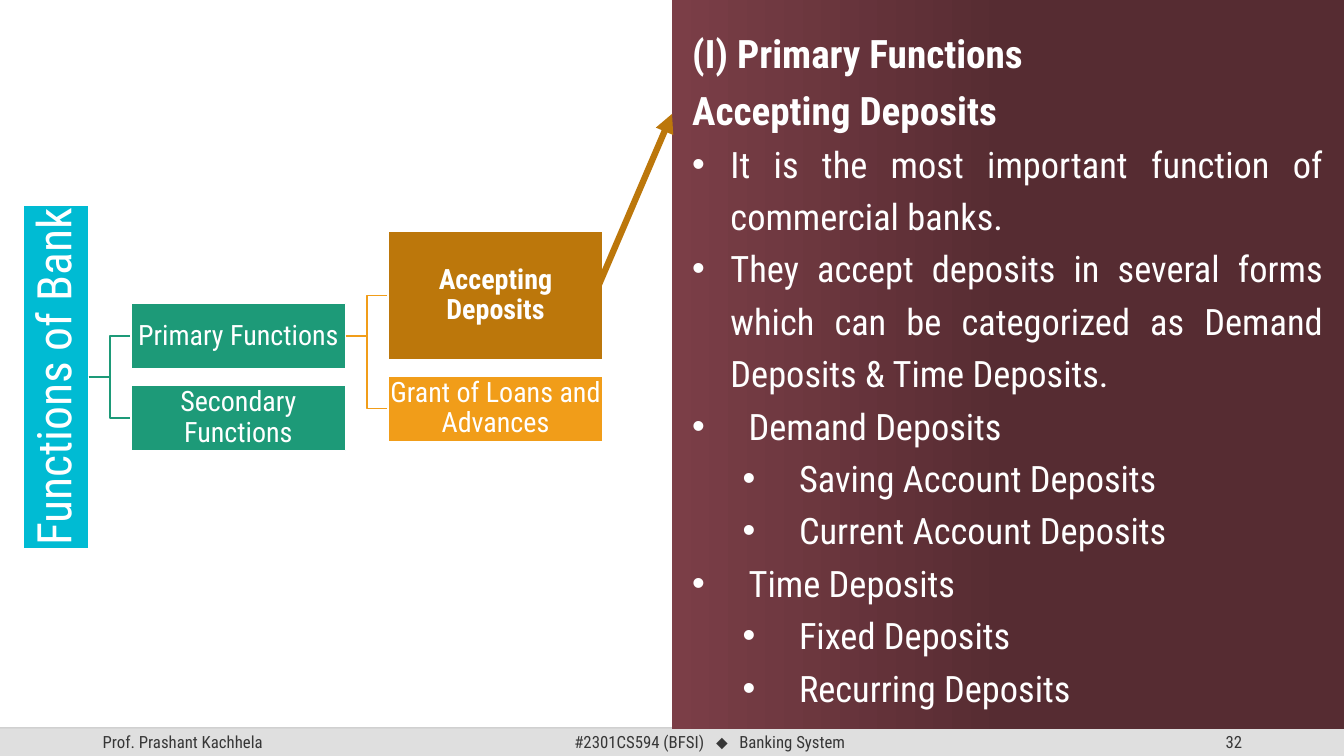
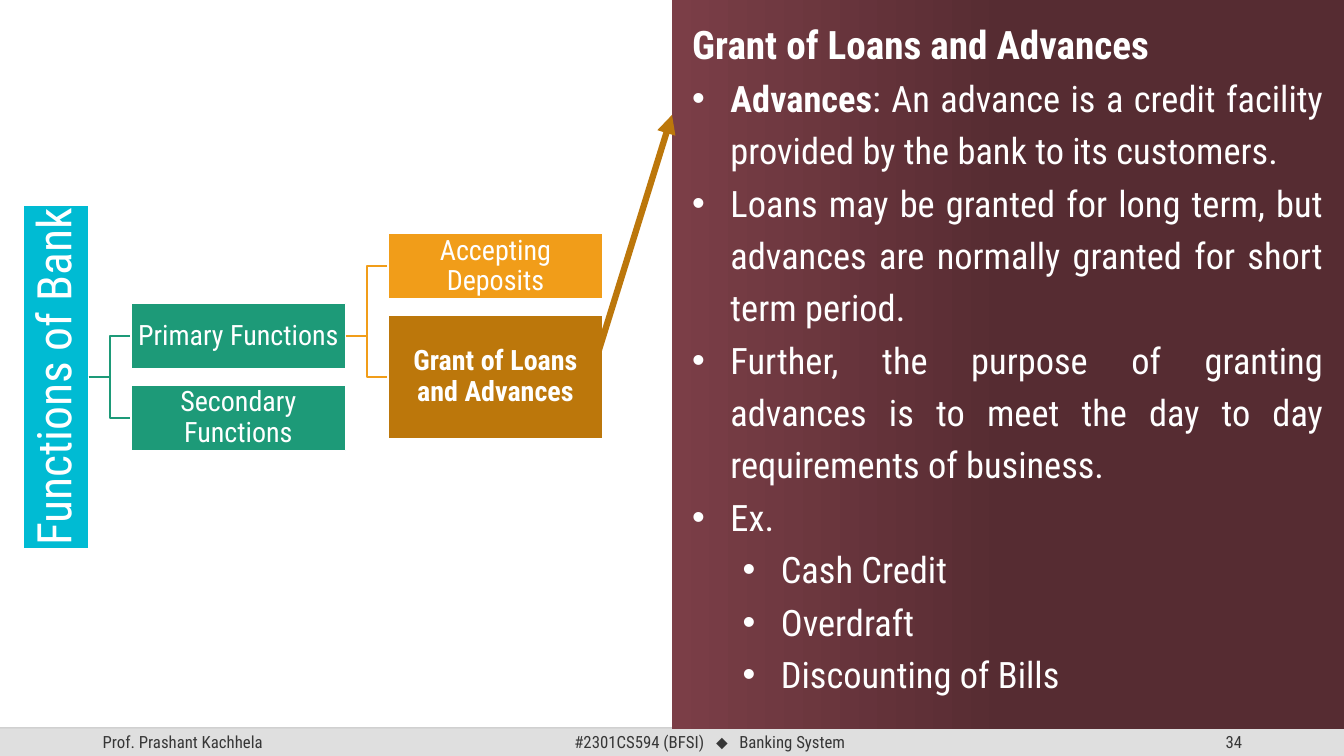
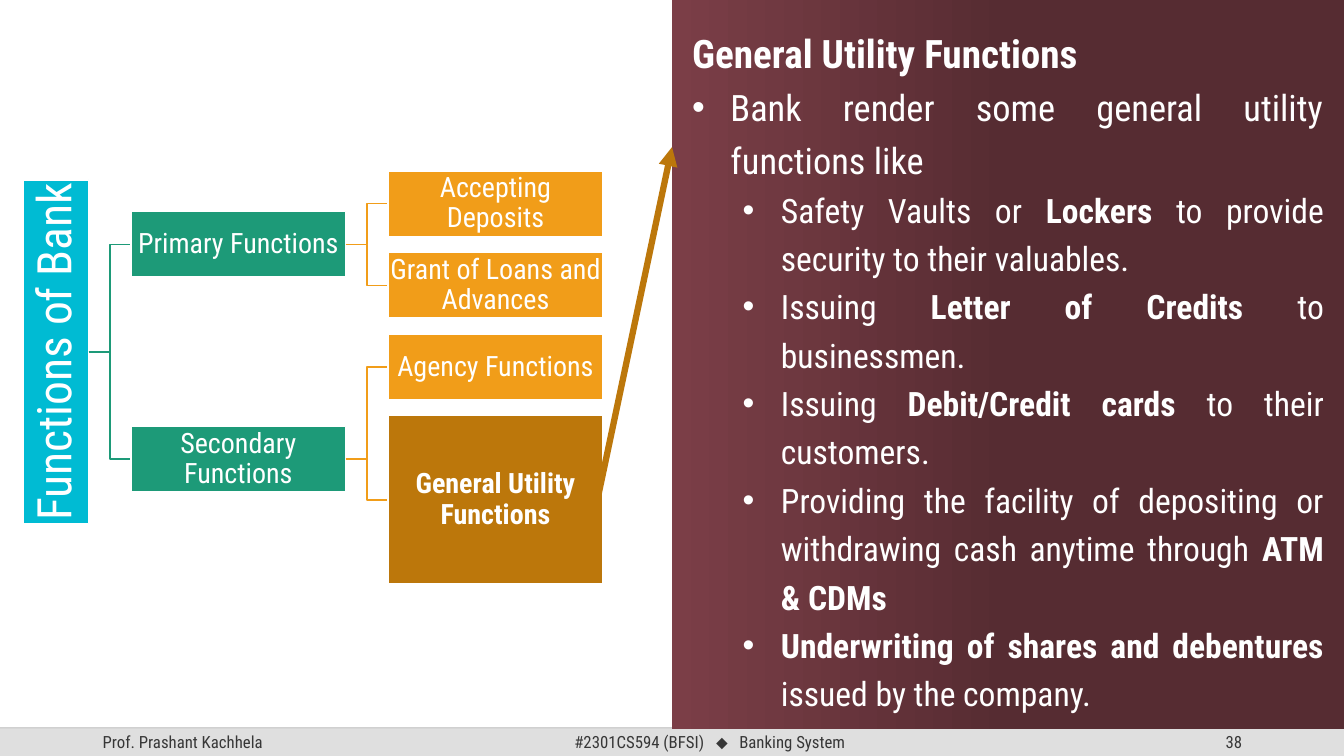
"""Build three slides on the functions of a bank: a tree diagram beside an explanatory panel."""
from copy import deepcopy

from lxml.etree import SubElement
from pptx import Presentation
from pptx.dml.color import RGBColor
from pptx.enum.shapes import MSO_CONNECTOR, MSO_SHAPE
from pptx.enum.text import MSO_ANCHOR, PP_ALIGN
from pptx.oxml.ns import qn
from pptx.util import Inches, Pt

FONT = "Roboto Condensed"
SYMBOL_FONT = "Arial"
WHITE, INK = "FFFFFF", "373737"
FOOTER_FILL, FOOTER_RULE = "DFDFDF", "BFBFBF"
PANEL_DARK, PANEL_LIGHT = "562C32", "7B3E47"
TRUNK_FILL, BRANCH_FILL, LEAF_FILL, ACTIVE_FILL = "00BBD3", "1D9A78", "F19D19", "BC770B"

SLIDE_WIDTH, SLIDE_HEIGHT = 13.33, 7.5
HALF_WIDTH = SLIDE_WIDTH / 2
FOOTER_TOP, FOOTER_HEIGHT = 7.22, 0.28

TRUNK_LEFT, TRUNK_LENGTH = 0.23, 3.41
BOX_WIDTH, BOX_HEIGHT = 2.13, 0.65
BOX_GAP, COLUMN_GAP = 0.16, 0.42
PLAIN_INSET, BOLD_INSET = 0.01, 0.1
BRANCH_LEFT = TRUNK_LEFT + BOX_HEIGHT + COLUMN_GAP
LEAF_LEFT = BRANCH_LEFT + BOX_WIDTH + COLUMN_GAP
ARROW_LEFT = 5.87

AUTHOR = "Prof. Prashant Kachhela"
COURSE = ("#2301CS594 (BFSI)", "⬥", "Banking System")
ROOT = "Functions of Bank"
PRIMARY, SECONDARY = "Primary Functions", "Secondary Functions"
DEPOSITS, LOANS = "Accepting Deposits", "Grant of Loans and Advances"
AGENCY, UTILITY = "Agency Functions", "General Utility Functions"

LEFT, JUSTIFY = PP_ALIGN.LEFT, PP_ALIGN.JUSTIFY
STYLES = {
    "heading": dict(size=28, level=0, margin=0, hang=0, align=LEFT, spacing=1.2),
    "tight heading": dict(size=28, level=0, margin=0, hang=0, align=LEFT, spacing=1.0),
    "point": dict(size=26, level=0, margin=0.38, hang=0.38, align=JUSTIFY, spacing=1.2),
    "group": dict(size=26, level=0, margin=0.56, hang=0.56, align=LEFT, spacing=1.2),
    "member": dict(size=26, level=1, margin=1.06, hang=0.56, align=LEFT, spacing=1.2),
    "example": dict(size=26, level=1, margin=0.88, hang=0.38, align=JUSTIFY, spacing=1.2),
    "service": dict(size=24, level=1, margin=0.88, hang=0.38, align=JUSTIFY, spacing=1.2),
}

SLIDES = [
    dict(
        number="32", middle=3.74, active=DEPOSITS, active_height=1.28, arrow=(2.99, 1.13),
        branches=[(PRIMARY, [DEPOSITS, LOANS]), (SECONDARY, [])],
        text=[
            ("heading", "**(I) Primary Functions**"),
            ("heading", "**Accepting Deposits**"),
            ("point", "It is the most important function of commercial banks."),
            ("point", "They accept deposits in several forms which can be categorized as "
                      "Demand Deposits & Time Deposits."),
            ("group", "Demand Deposits"),
            ("member", "Saving Account Deposits"),
            ("member", "Current Account Deposits"),
            ("group", "Time Deposits"),
            ("member", "Fixed Deposits"),
            ("member", "Recurring Deposits"),
        ],
    ),
    dict(
        number="34", middle=3.74, active=LOANS, active_height=1.23, arrow=(3.7, 1.14),
        branches=[(PRIMARY, [DEPOSITS, LOANS]), (SECONDARY, [])],
        text=[
            ("tight heading", "**Grant of Loans and Advances**"),
            ("point", "**Advances**: An advance is a credit facility provided by the bank "
                      "to its customers."),
            ("point", "Loans may be granted for long term, but advances are normally granted "
                      "for short term period."),
            ("point", "Further, the purpose of granting advances is to meet the day to day "
                      "requirements of business."),
            ("point", "Ex."),
            ("example", "Cash Credit"),
            ("example", "Overdraft"),
            ("example", "Discounting of Bills"),
        ],
    ),
    dict(
        number="38", middle=3.49, active=UTILITY, active_height=1.67, arrow=(5.22, 1.46),
        branches=[(PRIMARY, [DEPOSITS, LOANS]), (SECONDARY, [AGENCY, UTILITY])],
        text=[
            ("heading", "**General Utility Functions**"),
            ("point", "Bank render some general utility functions like"),
            ("service", "Safety Vaults or **Lockers** to provide security to their valuables."),
            ("service", "Issuing **Letter of Credits **to businessmen."),
            ("service", "Issuing **Debit/Credit cards **to their customers."),
            ("service", "Providing the facility of depositing or withdrawing cash anytime "
                        "through **ATM & CDMs**"),
            ("service", "**Underwriting of shares and debentures **issued by the company."),
        ],
    ),
]


def color(value):
    return RGBColor.from_string(value)


def add_run(paragraph, text, size, ink, bold=False, font=FONT):
    run = paragraph.add_run()
    run.text = text
    run.font.name, run.font.size, run.font.bold = font, Pt(size), bold
    run.font.color.rgb = color(ink)
    return run


def set_frame(shape, inset_x, inset_y, anchor):
    frame = shape.text_frame
    frame.word_wrap = True
    frame.margin_left = frame.margin_right = Inches(inset_x)
    frame.margin_top = frame.margin_bottom = Inches(inset_y)
    frame.vertical_anchor = anchor
    return frame


def add_box(slide, left, top, width, height, fill=None, line=None):
    shape = slide.shapes.add_shape(
        MSO_SHAPE.RECTANGLE, Inches(left), Inches(top), Inches(width), Inches(height))
    shape.shadow.inherit = False
    if fill:
        shape.fill.solid()
        shape.fill.fore_color.rgb = color(fill)
    if line:
        shape.line.color.rgb = color(line)
        shape.line.width = Pt(1)
    else:
        shape.line.fill.background()
    return shape


def add_line(slide, start, end, ink, width):
    connector = slide.shapes.add_connector(
        MSO_CONNECTOR.STRAIGHT, *(Inches(value) for value in (*start, *end)))
    connector.line.color.rgb = color(ink)
    connector.line.width = Pt(width)
    SubElement(connector._element.spPr, qn("a:effectLst"))
    return connector


def add_footer_text(slide, left, width, align):
    text_box = slide.shapes.add_textbox(
        Inches(left), Inches(FOOTER_TOP), Inches(width), Inches(FOOTER_HEIGHT))
    paragraph = set_frame(text_box, 0.1, 0.05, MSO_ANCHOR.MIDDLE).paragraphs[0]
    paragraph.alignment = align
    return paragraph


def add_footer(slide, number):
    add_box(slide, 0, FOOTER_TOP, SLIDE_WIDTH, FOOTER_HEIGHT, FOOTER_FILL)
    rule = add_line(slide, (0, FOOTER_TOP), (SLIDE_WIDTH, FOOTER_TOP), FOOTER_RULE, 1)
    rule_color = next(rule._element.spPr.iter(qn("a:srgbClr")))
    SubElement(rule_color, qn("a:alpha"), val="70000")

    add_run(add_footer_text(slide, 0.92, 3, PP_ALIGN.LEFT), AUTHOR, 12, INK)
    add_run(add_footer_text(slide, 9.42, 3, PP_ALIGN.RIGHT), number, 12, INK)

    code, diamond, subject = COURSE
    paragraph = add_footer_text(slide, 4.42, 5.24, PP_ALIGN.CENTER)
    for text, font in ((code, FONT), (" ", FONT), (diamond, SYMBOL_FONT),
                       (" ", FONT), (subject, FONT)):
        run = add_run(paragraph, text, 12, INK, font=font)
        if text == " ":
            run.font._element.set("spc", "550")


def add_panel(slide, content):
    panel = add_box(slide, HALF_WIDTH, 0, HALF_WIDTH, 7.23)
    panel.fill.gradient()
    panel.fill.gradient_angle = 180
    stops = panel.fill.gradient_stops
    for stop, value in zip(stops, (PANEL_DARK, PANEL_LIGHT)):
        stop.color.rgb = color(value)
    stops[0].position, stops[1].position = 0, 1
    first_stop = next(panel._element.spPr.iter(qn("a:gs")))
    middle_stop = deepcopy(first_stop)
    middle_stop.set("pos", "50000")
    first_stop.addnext(middle_stop)

    frame = set_frame(panel, 0.2, 0.2, MSO_ANCHOR.TOP)
    for index, (style_name, text) in enumerate(content):
        style = STYLES[style_name]
        paragraph = frame.add_paragraph() if index else frame.paragraphs[0]
        paragraph.level = style["level"]
        paragraph.alignment = style["align"]
        paragraph.line_spacing = style["spacing"]
        if style["hang"]:
            properties = paragraph._p.get_or_add_pPr()
            properties.set("marL", str(Inches(style["margin"])))
            properties.set("indent", str(-Inches(style["hang"])))
            SubElement(properties, qn("a:buFont"), typeface=SYMBOL_FONT)
            SubElement(properties, qn("a:buChar"), char="•")
        for part, words in enumerate(text.split("**")):
            if words:
                add_run(paragraph, words, style["size"], WHITE, bold=part % 2 == 1)


def add_node(slide, text, left, middle, width, height, fill, size=20, bold=False):
    node = add_box(slide, left, middle - height / 2, width, height, fill, WHITE)
    inset = BOLD_INSET if bold else PLAIN_INSET
    paragraph = set_frame(node, inset, PLAIN_INSET, MSO_ANCHOR.MIDDLE).paragraphs[0]
    paragraph.alignment = PP_ALIGN.CENTER
    paragraph.line_spacing = 0.9
    add_run(paragraph, text, size, WHITE, bold)
    return node


def add_elbow(slide, right, parent_middle, child_middle, ink):
    left = right - COLUMN_GAP
    bend = right - COLUMN_GAP / 2
    builder = slide.shapes.build_freeform(Inches(left), Inches(parent_middle))
    corners = ((bend, parent_middle), (bend, child_middle), (right, child_middle))
    builder.add_line_segments([(Inches(x), Inches(y)) for x, y in corners], close=False)
    elbow = builder.convert_to_shape()
    elbow.shadow.inherit = False
    elbow.fill.background()
    elbow.line.color.rgb = color(ink)
    elbow.line.width = Pt(1)


def stack(heights, middle):
    """Return the middles of boxes stacked with equal gaps around a given middle."""
    top = middle - (sum(heights) + BOX_GAP * (len(heights) - 1)) / 2
    middles = []
    for height in heights:
        middles.append(top + height / 2)
        top += height + BOX_GAP
    return middles


def branch_middles(leaf_heights, middle):
    """Return branch middles, with the trunk's middle halfway between them."""
    spans = [BOX_HEIGHT] * len(leaf_heights)
    if all(leaf_heights):
        spans = [sum(heights) + BOX_GAP * (len(heights) - 1) for heights in leaf_heights]
    middles = stack(spans, middle)
    shift = middle - (middles[0] + middles[-1]) / 2
    return [value + shift for value in middles]


def add_tree(slide, data):
    middle, active = data["middle"], data["active"]
    leaf_heights = [
        [data["active_height"] if leaf == active else BOX_HEIGHT for leaf in leaves]
        for _, leaves in data["branches"]]
    trunk_left = TRUNK_LEFT + (BOX_HEIGHT - TRUNK_LENGTH) / 2
    trunk = add_node(slide, ROOT, trunk_left, middle, TRUNK_LENGTH, BOX_HEIGHT, TRUNK_FILL, 34)
    trunk.rotation = 270
    positions = branch_middles(leaf_heights, middle)
    for (branch, leaves), heights, position in zip(data["branches"], leaf_heights, positions):
        add_elbow(slide, BRANCH_LEFT, middle, position, BRANCH_FILL)
        add_node(slide, branch, BRANCH_LEFT, position, BOX_WIDTH, BOX_HEIGHT, BRANCH_FILL)
        for leaf, height, leaf_middle in zip(leaves, heights, stack(heights, position)):
            chosen = leaf == active
            add_elbow(slide, LEAF_LEFT, position, leaf_middle, LEAF_FILL)
            add_node(slide, leaf, LEAF_LEFT, leaf_middle, BOX_WIDTH, height,
                     ACTIVE_FILL if chosen else LEAF_FILL, bold=chosen)


def add_arrow(slide, start_height, end_height):
    arrow = add_line(slide, (ARROW_LEFT, start_height), (HALF_WIDTH, end_height),
                     ACTIVE_FILL, 4.5)
    SubElement(arrow.line._get_or_add_ln(), qn("a:tailEnd"), type="triangle")


def main():
    presentation = Presentation()
    presentation.slide_width = Inches(SLIDE_WIDTH)
    presentation.slide_height = Inches(SLIDE_HEIGHT)
    for data in SLIDES:
        slide = presentation.slides.add_slide(presentation.slide_layouts[6])
        add_footer(slide, data["number"])
        add_panel(slide, data["text"])
        add_tree(slide, data)
        add_arrow(slide, *data["arrow"])
    presentation.save("out.pptx")


if __name__ == "__main__":
    main()
